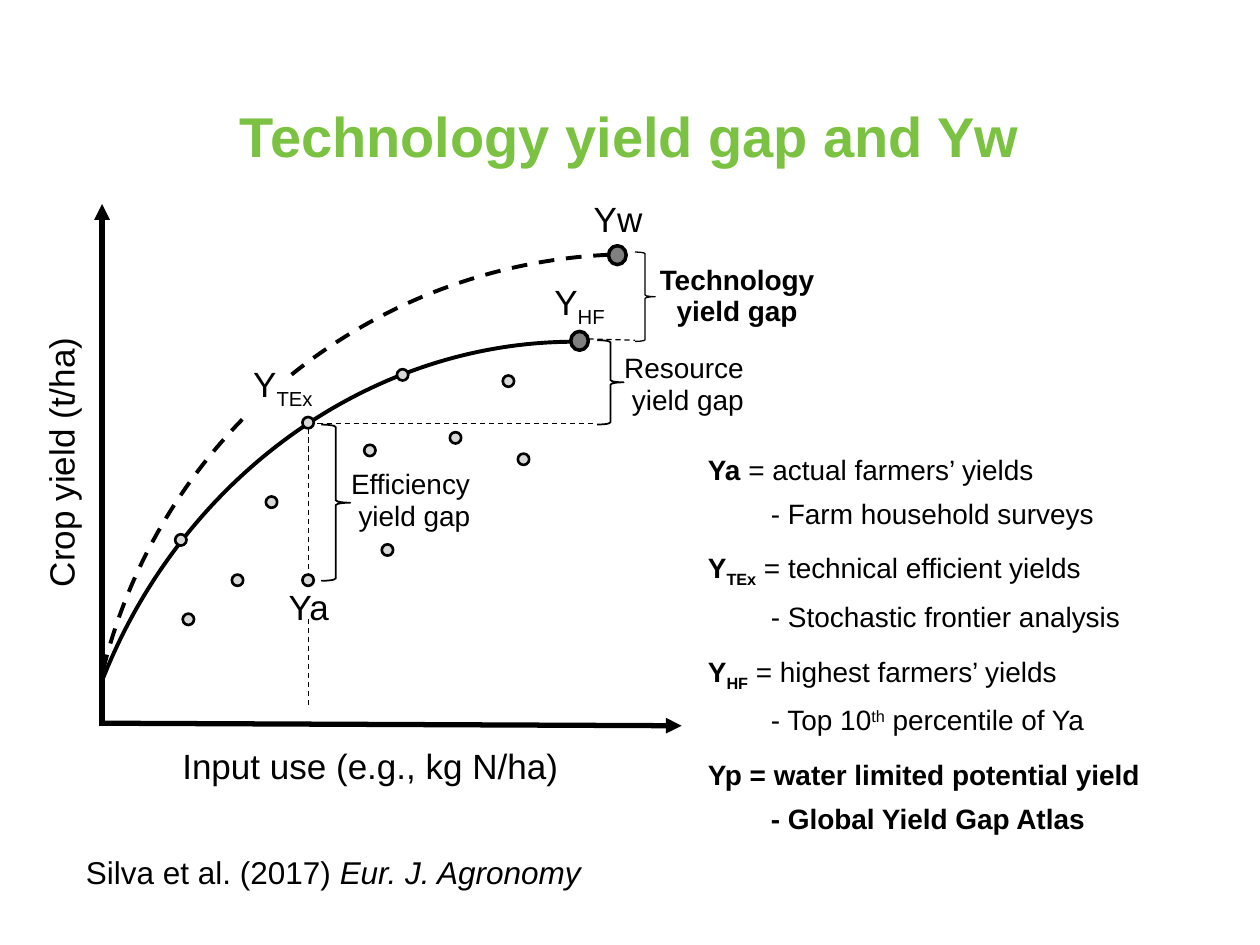
from typing import NamedTuple

from lxml.etree import SubElement
from pptx import Presentation
from pptx.dml.color import RGBColor
from pptx.enum.dml import MSO_LINE
from pptx.enum.shapes import MSO_CONNECTOR, MSO_SHAPE
from pptx.enum.text import MSO_ANCHOR, MSO_AUTO_SIZE, PP_ALIGN
from pptx.oxml.ns import qn
from pptx.util import Inches, Pt

# The slide is a grid of 100 columns by 75 rows
presentation = Presentation()
presentation.slide_width, presentation.slide_height = Inches(10), Inches(7.5)
COLUMN = presentation.slide_width / 100
ROW = presentation.slide_height / 75
slide = presentation.slides.add_slide(presentation.slide_layouts[6])

BLACK, WHITE, GREEN = "000000", "FFFFFF", "7BC142"
LIGHT_GRAY, DARK_GRAY = "D9D9D9", "808080"


class Box(NamedTuple):
    left: float
    top: float
    width: float
    height: float


class Run(NamedTuple):
    text: str
    bold: bool = False
    italic: bool = False
    baseline: int = 0


class Label(NamedTuple):
    box: Box
    paragraphs: list[list[Run]]
    size: int = 20
    wrap: bool = True
    spacing: int | None = None
    rotation: int = 0


class Gap(NamedTuple):
    name: str
    label: Box
    brace: Box
    weight: float = 1
    bold: bool = False


def place(box: Box) -> tuple[int, ...]:
    steps = (COLUMN, ROW, COLUMN, ROW)
    return tuple(round(value * step) for value, step in zip(box, steps))


def color(value: str) -> RGBColor:
    return RGBColor.from_string(value)


def set_line(line, weight: float, dashed: bool = False) -> None:
    line.color.rgb = color(BLACK)
    line.width = Pt(weight)
    if dashed:
        line.dash_style = MSO_LINE.DASH


def add_shape(kind, box: Box, fill: str | None = None, weight: float = 0,
              dashed: bool = False):
    shape = slide.shapes.add_shape(kind, *place(box))
    shape.shadow.inherit = False
    if fill:
        shape.fill.solid()
        shape.fill.fore_color.rgb = color(fill)
    else:
        shape.fill.background()
    if weight:
        set_line(shape.line, weight, dashed)
    else:
        shape.line.fill.background()
    return shape


def add_arc(box: Box, rotation: float, start: float, end: float, dashed: bool = False) -> None:
    arc = add_shape(MSO_SHAPE.ARC, box, weight=2.25, dashed=dashed)
    arc.rotation = rotation
    arc.adjustments[0], arc.adjustments[1] = start, end


def add_line(start: tuple, end: tuple, weight: float = 0.75, dashed: bool = True,
             arrow: bool = False) -> None:
    left, top, right, bottom = place(Box(*start, *end))
    connector = slide.shapes.add_connector(MSO_CONNECTOR.STRAIGHT, left, top, right, bottom)
    set_line(connector.line, weight, dashed)
    if arrow:
        SubElement(connector.line._get_or_add_ln(), qn("a:headEnd"), type="triangle")
    SubElement(connector._element.spPr, qn("a:effectLst"))


def add_label(label: Label, text_color: str = BLACK, align=PP_ALIGN.CENTER,
              spaces_after: tuple = (), anchor=MSO_ANCHOR.TOP,
              auto_size=MSO_AUTO_SIZE.SHAPE_TO_FIT_TEXT) -> None:
    shape = slide.shapes.add_textbox(*place(label.box))
    shape.rotation = label.rotation
    frame = shape.text_frame
    frame_format = {"word_wrap": label.wrap, "auto_size": auto_size, "vertical_anchor": anchor}
    for name, value in frame_format.items():
        setattr(frame, name, value)
    for index, runs in enumerate(label.paragraphs):
        paragraph = frame.add_paragraph() if index else frame.paragraphs[0]
        paragraph.alignment = align
        if label.spacing:
            paragraph.line_spacing = Pt(label.spacing)
        if spaces_after:
            paragraph.space_after = Pt(spaces_after[index])
        for part in runs:
            run = paragraph.add_run()
            run.text = part.text
            font_format = {"name": "Arial", "size": Pt(label.size),
                           "bold": part.bold, "italic": part.italic}
            for name, value in font_format.items():
                setattr(run.font, name, value)
            run.font.color.rgb = color(text_color)
            if part.baseline:
                run.font._element.set("baseline", str(part.baseline * 1000))


def add_gap(gap: Gap) -> None:
    lines = [[Run(f"{gap.name} ", gap.bold)], [Run("yield gap", gap.bold)]]
    add_label(Label(gap.label, lines, 16, spacing=18))
    add_shape(MSO_SHAPE.RIGHT_BRACE, gap.brace, weight=gap.weight)


def subscripted(suffix: str, bold: bool = False) -> list[Run]:
    return [Run("Y", bold), Run(suffix, bold, baseline=-25)]


# Title
add_label(Label(Box(5, 3, 90, 15.5), [[Run("Technology yield gap and Yw", True)]], 32),
          GREEN, anchor=MSO_ANCHOR.MIDDLE, auto_size=MSO_AUTO_SIZE.NONE)

# Yield curves: farmers' frontier and water limited potential
add_arc(Box(2.3, 29.9, 82.5, 76.2), 290.5, 162.83, 206.05)
add_arc(Box(6.9, 20.2, 86.7, 86.6), 313.2, 144.36, 188.76, dashed=True)

# Axes
add_line((8.1, 16.2), (8.1, 57.6), 3, dashed=False, arrow=True)
add_line((54.1, 57.6), (8.1, 57.4), 3, dashed=False, arrow=True)

# Guide lines
GUIDES = [
    ((24.5, 34), (24.5, 45.6)),
    ((24.5, 49.1), (24.5, 56.1)),
    ((25.2, 33.6), (47.2, 33.6)),
    ((46.7, 26.9), (50.4, 27)),
]
for start, end in GUIDES:
    add_line(start, end)

# Yield gaps
GAPS = [
    Gap("Efficiency", Box(26.6, 36.7, 12.6, 6.1), Box(25.5, 33.7, 2.3, 12.4)),
    Gap("Resource", Box(48.3, 27.5, 12.6, 6.1), Box(47.4, 27, 2.1, 6.7)),
    Gap("Technology", Box(51.2, 20.5, 14.6, 6.1), Box(50.4, 20, 1.6, 7.1), 0.75, True),
]
for gap in GAPS:
    add_gap(gap)

# White patch that breaks the dashed curve behind its label
add_shape(MSO_SHAPE.RECTANGLE, Box(18, 29.1, 4.8, 3.7), WHITE)

# Axis and point labels
LABELS = [
    Label(Box(46.1, 15.2, 5.9, 4.4), [[Run("Yw")]], wrap=False),
    Label(Box(21.9, 46, 5.2, 4.4), [[Run("Ya")]], wrap=False),
    Label(Box(42.8, 21.8, 6.4, 4.4), [subscripted("HF")], wrap=False),
    Label(Box(18.2, 28.3, 8.5, 4.4), [subscripted("TEx")]),
    Label(Box(13.4, 58.6, 32, 4.4), [[Run("Input use (e.g., kg N/ha)")]], wrap=False),
    Label(Box(-8.3, 34.5, 26.3, 4.4), [[Run("Crop yield (t/ha)")]], rotation=270),
]
for label in LABELS:
    add_label(label)

# Observed farms and the two highlighted yields
FARMS = [(39.9, 29.8), (35.7, 34.3), (21.1, 39.4), (14.5, 48.7), (18.4, 45.6),
         (41.1, 36), (24, 45.6), (30.3, 43.2), (28.9, 35.3), (45.5, 26.7),
         (31.5, 29.3), (24, 33.1), (13.9, 42.4)]
for left, top in FARMS:
    add_shape(MSO_SHAPE.OVAL, Box(left, top, 0.9, 0.9), LIGHT_GRAY, 1.5)
for left, top in [(48.3, 19.5), (45.3, 26.3)]:
    add_shape(MSO_SHAPE.OVAL, Box(left, top, 1.4, 1.5), DARK_GRAY, 2)

# Definitions
DEFINITIONS = [
    [Run("Ya", True), Run(" = actual farmers’ yields")],
    [Run("\t- Farm household surveys")],
    [*subscripted("TEx", True), Run(" = technical efficient yields")],
    [Run("\t- Stochastic frontier analysis")],
    [*subscripted("HF", True), Run(" = highest farmers’ yields")],
    [Run("\t- Top 10"), Run("th", baseline=30), Run(" percentile of Ya")],
    [Run("Yp = water limited potential yield", True)],
    [Run("\t- Global Yield Gap Atlas", True)],
]
add_label(Label(Box(55.2, 35.4, 40.2, 31), DEFINITIONS, 16, wrap=False),
          align=PP_ALIGN.LEFT, spaces_after=(6, 12, 6, 12, 6, 12, 6, 6))

# Reference
add_label(Label(Box(2.7, 67.4, 47.5, 3.8),
                [[Run("Silva et al. (2017) "), Run("Eur. J. Agronomy", italic=True)]],
                18, spacing=20))

presentation.save("out.pptx")
